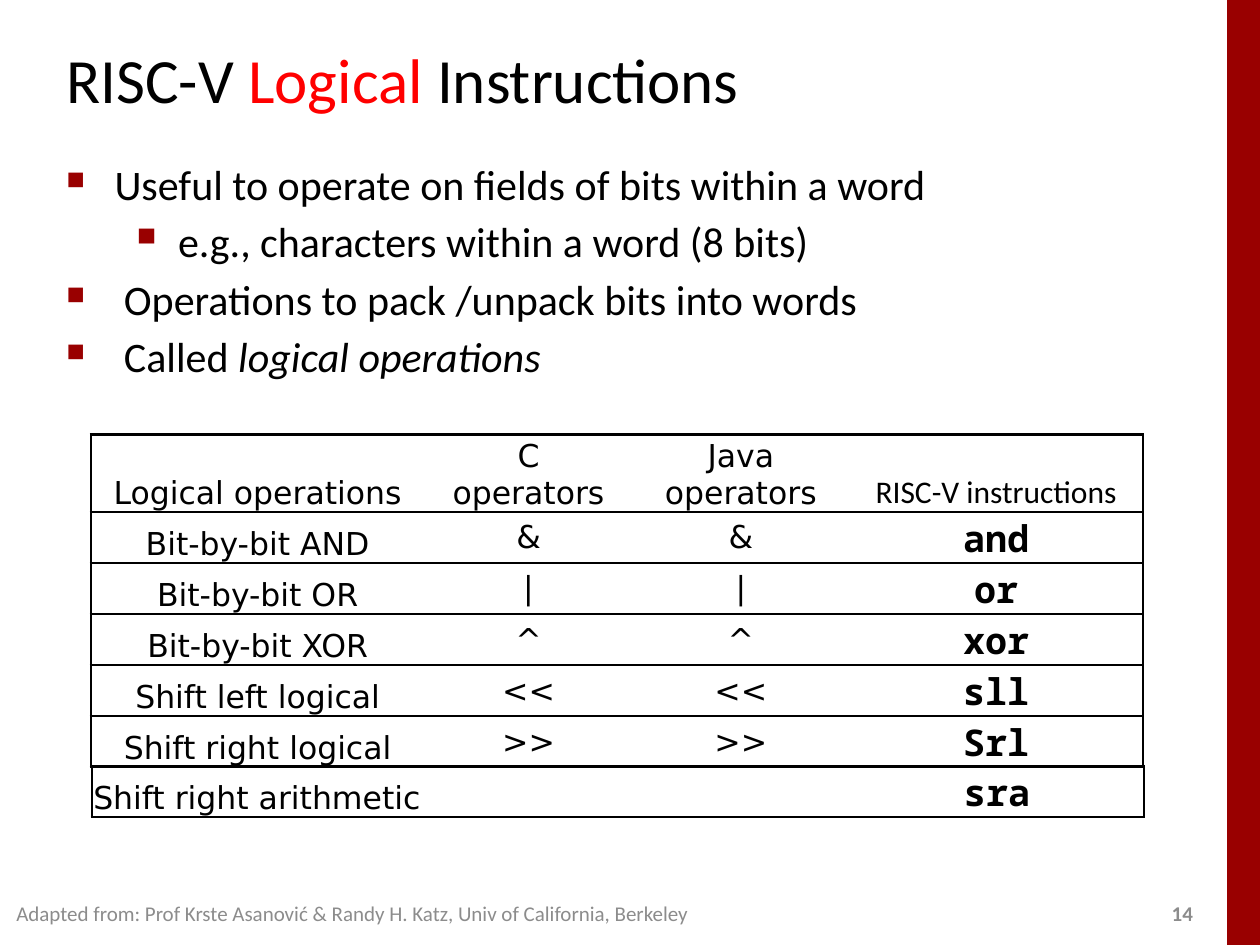
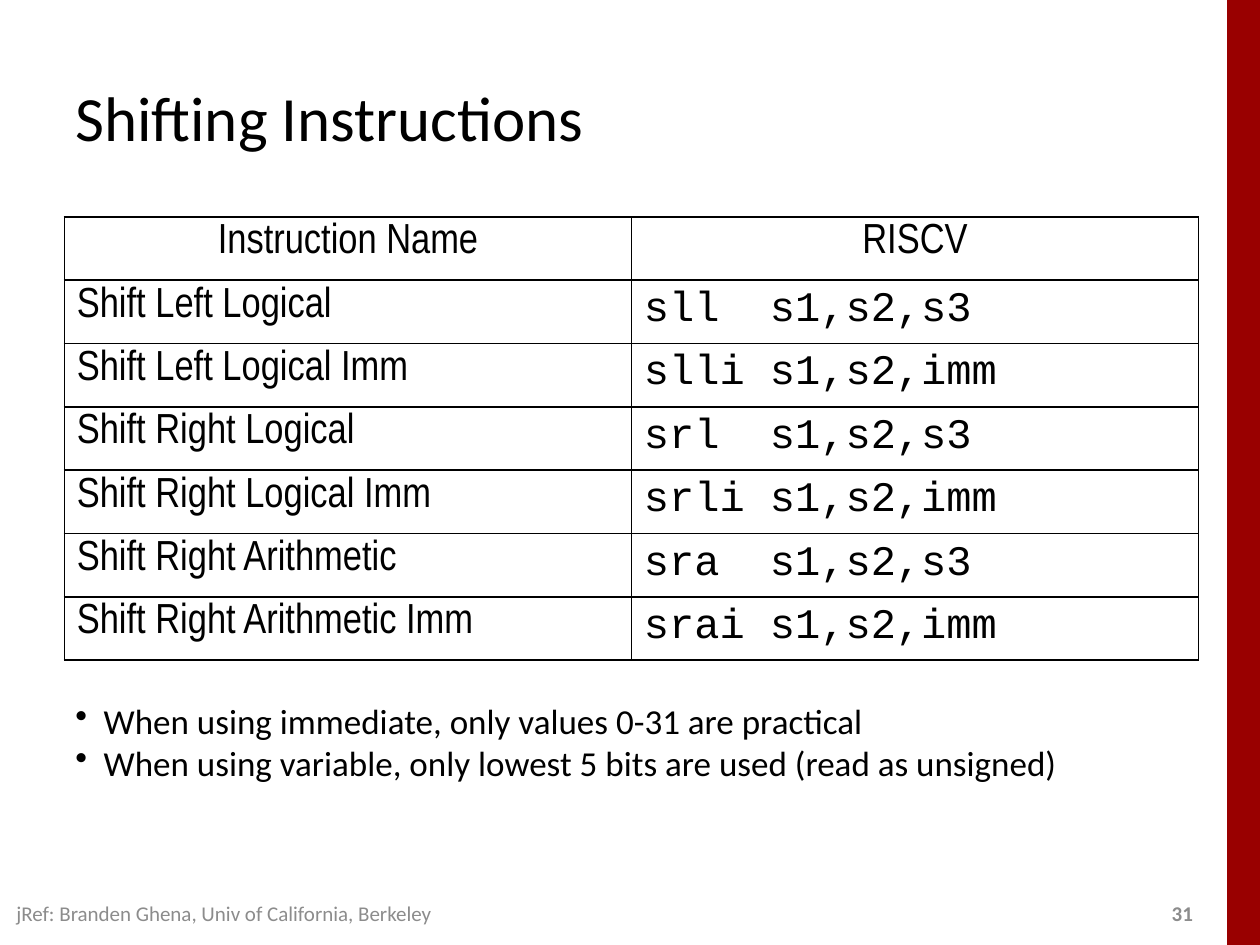
from dataclasses import dataclass
from typing import Any

import pptx
import pptx.dml.color
import pptx.enum.shapes
import pptx.enum.text
import pptx.oxml
import pptx.oxml.ns
import pptx.util

Cm = pptx.util.Cm
Pt = pptx.util.Pt
ALIGN = pptx.enum.text.PP_ALIGN
ANCHOR = pptx.enum.text.MSO_ANCHOR

COLORS = {"band": "990000", "text": "000000", "accent": "FF0000", "footer": "8C8C8C"}


@dataclass(frozen=True)
class Box:
    """Position and size in centimetres."""
    left: float
    top: float
    width: float
    height: float

    def lengths(self) -> list[Any]:
        return [Cm(v) for v in (self.left, self.top, self.width, self.height)]


@dataclass(frozen=True)
class Font:
    name: str
    size: float
    color: str = "text"
    bold: bool = False


@dataclass(frozen=True)
class Run:
    text: str
    color: str = ""
    italic: bool = False


@dataclass(frozen=True)
class Bullet:
    char: str
    color: str
    percent: int
    margin: float
    hang: float
    level: int = 0


@dataclass(frozen=True)
class Paragraph:
    runs: tuple[Run, ...]
    bullet: Bullet | None = None
    before: float = 0


@dataclass(frozen=True)
class CellStyle:
    font: Font
    align: Any = ALIGN.CENTER
    anchor: Any = ANCHOR.BOTTOM


@dataclass(frozen=True)
class Grid:
    """A table's columns, row heights, margins and rules."""
    columns: tuple[float, ...]
    row_height: float
    margins: tuple[float, float, float, float]
    line: float
    inner_verticals: bool
    styles: tuple[CellStyle, ...]
    header_styles: tuple[CellStyle, ...] = ()
    header_height: float = 0


TITLE = Font("Calibri", 36)
BODY = Font("Calibri", 24)
NOTE = Font("Calibri", 20)
FOOTER = Font("Calibri", 12, "footer")
PAGE_NUMBER = Font("Calibri", 12, "footer", True)
OPERATION = Font("DejaVu Sans", 18)
MNEMONIC = Font("Noto Sans Mono", 21, bold=True)
NARROW = Font("Arial Narrow", 24)
CODE = Font("Courier New", 24)

BAND_BOX = Box(24.74, 0, 0.66, 19.05)
FOOTER_BOX = Box(0.08, 17.91, 14.58, 0.99)
PAGE_BOX = Box(23.37, 18.03, 1.02, 0.76)

POINT = Bullet("■", "band", 60, 0.97, 0.97)
SPACED_POINT = Bullet("■", "band", 60, 1.16, 1.16)
SUBPOINT = Bullet("▪", "band", 110, 2.25, 0.98, 1)
DOT = Bullet("•", "text", 100, 0.57, 0.57)


def set_font(r: Any, font: Font, color: str = "") -> None:
    r.font.name = font.name
    r.font.size = Pt(font.size)
    r.font.bold = font.bold
    r.font.color.rgb = pptx.dml.color.RGBColor.from_string(COLORS[color or font.color])


def xml(tag: str, content: str = "", **attrs: Any) -> Any:
    """Make one element of the drawing namespace."""
    pairs = "".join(f' {key}="{value}"' for key, value in attrs.items())
    ns = pptx.oxml.ns.nsdecls("a")
    return pptx.oxml.parse_xml(f"<a:{tag} {ns}{pairs}>{content}</a:{tag}>")


def solid(color: str) -> str:
    return f'<a:solidFill><a:srgbClr val="{COLORS[color]}"/></a:solidFill>'


def set_bullet(p: Any, bullet: Bullet) -> None:
    p.level = bullet.level
    pPr = p._p.get_or_add_pPr()
    pPr.set("marL", str(int(Cm(bullet.margin))))
    pPr.set("indent", str(-int(Cm(bullet.hang))))
    pPr.append(xml("buClr", f'<a:srgbClr val="{COLORS[bullet.color]}"/>'))
    pPr.append(xml("buSzPct", val=bullet.percent * 1000))
    pPr.append(xml("buChar", char=bullet.char))


def add_text(s: Any, box: Box, paragraphs: list[Paragraph], font: Font,
             anchor: Any = ANCHOR.MIDDLE) -> None:
    tf = s.shapes.add_textbox(*box.lengths()).text_frame
    tf.word_wrap = True
    tf.vertical_anchor = anchor
    for i, paragraph in enumerate(paragraphs):
        p = tf.paragraphs[0] if i == 0 else tf.add_paragraph()
        p.space_before = Pt(paragraph.before)
        if paragraph.bullet:
            set_bullet(p, paragraph.bullet)
        for run in paragraph.runs:
            r = p.add_run()
            r.text = run.text
            set_font(r, font, run.color)
            r.font.italic = run.italic


def add_line(s: Any, box: Box, text: str, font: Font) -> None:
    add_text(s, box, [Paragraph((Run(text),))], font)


def set_borders(cell: Any, width: float, sides: str) -> None:
    tcPr = cell._tc.get_or_add_tcPr()
    for i, side in enumerate("LRTB"):
        fill = solid("text") if side in sides else "<a:noFill/>"
        tcPr.insert(i, xml(f"ln{side}", fill, w=int(Pt(width))))


def fill_cell(cell: Any, text: str, style: CellStyle, grid: Grid, sides: str) -> None:
    cell.fill.background()
    set_borders(cell, grid.line, sides)
    (cell.margin_left, cell.margin_top,
     cell.margin_right, cell.margin_bottom) = [Cm(m) for m in grid.margins]
    cell.vertical_anchor = style.anchor
    cell.text_frame.text = text
    for p in cell.text_frame.paragraphs:
        p.alignment = style.align
        for r in p.runs:
            set_font(r, style.font)


def add_grid(s: Any, left: float, top: float, grid: Grid, rows: list[tuple[str, ...]]) -> None:
    has_header = bool(grid.header_styles)
    heights = [grid.row_height] * len(rows)
    if has_header:
        heights[0] = grid.header_height
    box = Box(left, top, sum(grid.columns), sum(heights))
    table = s.shapes.add_table(len(rows), len(grid.columns), *box.lengths()).table
    table.first_row = table.horz_banding = False
    for column, width in zip(table.columns, grid.columns):
        column.width = Cm(width)
    last = len(grid.columns) - 1
    for i, (row, height) in enumerate(zip(rows, heights)):
        table.rows[i].height = Cm(height)
        styles = grid.header_styles if has_header and i == 0 else grid.styles
        for j, (text, style) in enumerate(zip(row, styles)):
            sides = "TB"
            sides += "L" if j == 0 or grid.inner_verticals else ""
            sides += "R" if j == last or grid.inner_verticals else ""
            fill_cell(table.cell(i, j), text, style, grid, sides)


def add_slide(prs: Any, title_box: Box, title: tuple[Run, ...], footer: str, page: int) -> Any:
    """Add a slide with the side band, title, footer and page number."""
    s = prs.slides.add_slide(prs.slide_layouts[6])
    band = s.shapes.add_shape(pptx.enum.shapes.MSO_SHAPE.RECTANGLE, *BAND_BOX.lengths())
    band.shadow.inherit = False
    band.fill.solid()
    band.fill.fore_color.rgb = pptx.dml.color.RGBColor.from_string(COLORS["band"])
    band.line.fill.background()
    add_line(s, PAGE_BOX, str(page), PAGE_NUMBER)
    add_text(s, title_box, [Paragraph(title)], TITLE)
    add_line(s, FOOTER_BOX, footer, FOOTER)
    return s


def logical_slide(prs: Any) -> None:
    s = add_slide(prs, Box(1.09, 0.53, 21.08, 2.11),
                  (Run("RISC-V "), Run("Logical", "accent"), Run(" Instructions")),
                  "Adapted from: Prof Krste Asanović & Randy H. Katz, Univ of California, Berkeley",
                  14)
    points = [
        (POINT, (Run("Useful to operate on fields of bits within a word"),)),
        (SUBPOINT, (Run("e.g., characters within a word (8 bits)"),)),
        (SPACED_POINT, (Run("Operations to pack /unpack bits into words"),)),
        (SPACED_POINT, (Run("Called "), Run("logical operations", italic=True))),
    ]
    add_text(s, Box(1.09, 3.07, 21.95, 5.23),
             [Paragraph(runs, bullet, 4) for bullet, runs in points], BODY, ANCHOR.TOP)

    # Operators table, and the arithmetic shift added below it
    name = CellStyle(OPERATION)
    symbol = CellStyle(OPERATION, anchor=ANCHOR.MIDDLE)
    mnemonic = CellStyle(MNEMONIC, anchor=ANCHOR.MIDDLE)
    columns = (6.73, 4.19, 4.37, 5.92)
    margins = (0.03, 0.03, 0.03, 0)
    operators = Grid(columns, 1.03, margins, 1.5, False, (name, symbol, symbol, mnemonic),
                     (name, name, name, CellStyle(Font("Calibri", 18))), 1.55)
    operations = [("Bit-by-bit AND", "&", "and"), ("Bit-by-bit OR", "|", "or"),
                  ("Bit-by-bit XOR", "^", "xor"), ("Shift left logical", "<<", "sll"),
                  ("Shift right logical", ">>", "Srl")]
    header = ("Logical operations", "C\noperators", "Java operators", "RISC-V instructions")
    add_grid(s, 1.83, 8.76, operators,
             [header] + [(op, sign, sign, code) for op, sign, code in operations])
    arithmetic = Grid(columns, 1.03, margins, 1.5, False,
                      (CellStyle(OPERATION, ALIGN.LEFT), symbol, symbol, mnemonic))
    add_grid(s, 1.85, 15.44, arithmetic, [("Shift right arithmetic", "", "", "sra")])


def shifting_slide(prs: Any) -> None:
    s = add_slide(prs, Box(1.27, 0.76, 22.86, 3.18), (Run("Shifting Instructions"),),
                  "jRef: Branden Ghena, Univ of California, Berkeley", 31)

    # Each shift has a register form and an immediate form
    heading = CellStyle(NARROW, anchor=ANCHOR.TOP)
    styles = tuple(CellStyle(font, ALIGN.LEFT, ANCHOR.TOP) for font in (NARROW, CODE))
    grid = Grid((11.43, 11.43), 1.22, (0.25, 0.13, 0.25, 0.13), 1, True, styles,
                (heading, heading), 1.04)
    rows = [("Instruction Name", "RISCV")]
    for shift, code in (("Left Logical", "sll"), ("Right Logical", "srl"),
                        ("Right Arithmetic", "sra")):
        rows.append((f"Shift {shift}", f"{code:<4} s1,s2,s3"))
        rows.append((f"Shift {shift} Imm", f"{code}i s1,s2,imm"))
    add_grid(s, 1.3, 4.37, grid, rows)

    notes = ["When using immediate, only values 0-31 are practical",
             "When using variable, only lowest 5 bits are used (read as unsigned)"]
    add_text(s, Box(1.27, 13.97, 22.86, 1.96),
             [Paragraph((Run(note),), DOT) for note in notes], NOTE, ANCHOR.TOP)


def main() -> None:
    prs = pptx.Presentation()
    prs.slide_width, prs.slide_height = Cm(25.4), Cm(19.05)
    logical_slide(prs)
    shifting_slide(prs)
    prs.save("out.pptx")


if __name__ == "__main__":
    main()
